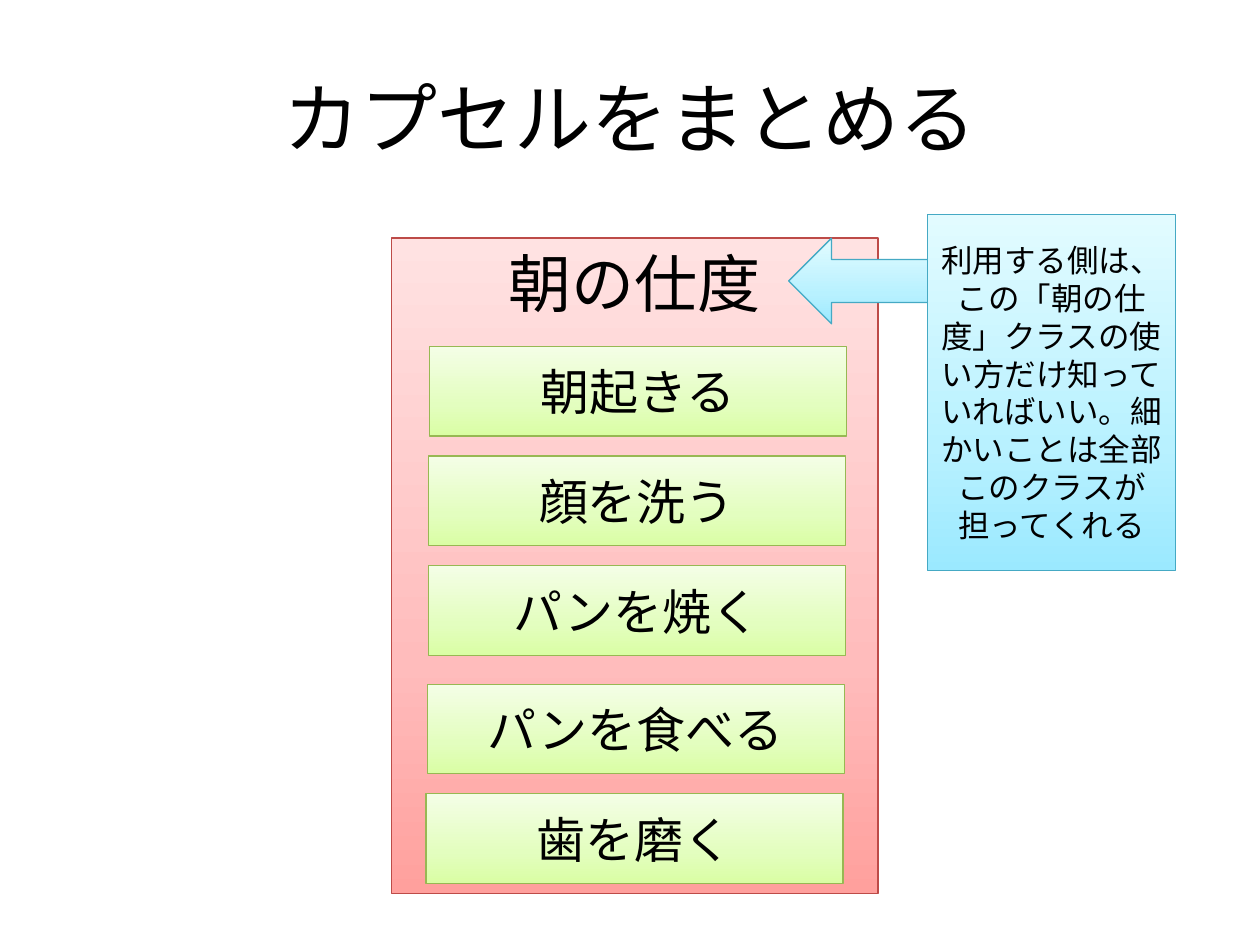
from copy import deepcopy
from dataclasses import dataclass

from pptx import Presentation
from pptx.dml.color import RGBColor
from pptx.enum.shapes import MSO_SHAPE as Shape
from pptx.enum.text import MSO_ANCHOR as Anchor, PP_ALIGN as Align
from pptx.util import Inches, Pt


@dataclass(frozen=True)
class Theme:
    font: str = "Calibri"
    text: str = "000000"
    # Each palette: bottom, middle and top of the gradient, then the outline
    red: tuple = ("FFA09D", "FFBCBC", "FFE2E2", "BD4B48")
    green: tuple = ("DAFEA4", "E3FEBF", "F4FEE6", "97B853")
    blue: tuple = ("9BE9FF", "B8F1FF", "E2FBFF", "45A9C4")
    stops: tuple = (0, 0.35, 1)
    outline: float = 0.75
    title_size: int = 44
    heading_size: int = 36
    step_size: int = 28
    note_size: int = 18


theme = Theme()


def write(shape, text, size, anchor=Anchor.MIDDLE):
    frame = shape.text_frame
    frame.word_wrap = True
    frame.vertical_anchor = anchor
    para = frame.paragraphs[0]
    para.alignment = Align.CENTER
    span = para.add_run()
    span.text = text
    span.font.name = theme.font
    span.font.size = Pt(size)
    span.font.color.rgb = RGBColor.from_string(theme.text)


def add_block(page, kind, box, palette):
    """Add a shape with an upward three-stop gradient."""
    shape = page.shapes.add_shape(kind, *map(Inches, box))
    shape.shadow.inherit = False
    *colors, outline = palette
    shape.fill.gradient()
    shape.fill.gradient_angle = 90
    # The default gradient has two stops; add the third
    stop_list = shape.fill._xPr.gradFill.gsLst
    stop_list.append(deepcopy(stop_list[-1]))
    for stop, position, color in zip(shape.fill.gradient_stops, theme.stops, colors):
        stop.position = position
        stop.color.rgb = RGBColor.from_string(color)
    shape.line.color.rgb = RGBColor.from_string(outline)
    shape.line.width = Pt(theme.outline)
    return shape


def add_title(page, box, text):
    title = page.shapes.title
    title.left, title.top, title.width, title.height = map(Inches, box)
    write(title, text, theme.title_size)


def add_class_panel(page, box, heading, steps):
    """Add the outer class and the steps it holds, as (text, dx, dy)."""
    left, top, width, height = box
    panel = add_block(page, Shape.RECTANGLE, box, theme.red)
    write(panel, heading, theme.heading_size, Anchor.TOP)
    for text, dx, dy in steps:
        step_box = (left + dx, top + dy, width - 0.55, 0.71)
        step = add_block(page, Shape.RECTANGLE, step_box, theme.green)
        write(step, text, theme.step_size)


def add_callout(page, box, text):
    """Add the note and the arrow that runs out from behind it."""
    left, top, width, height = box
    add_block(page, Shape.LEFT_ARROW, (left - 1.1, top + 0.19, 1.57, 0.68), theme.blue)
    note = add_block(page, Shape.RECTANGLE, box, theme.blue)
    write(note, text, theme.note_size)


deck = Presentation()
deck.slide_width, deck.slide_height = Inches(10), Inches(7.5)
page = deck.slides.add_slide(deck.slide_layouts[5])

add_title(page, (0.5, 0.3, 9, 1.25), "カプセルをまとめる")
add_class_panel(page, (3.11, 1.89, 3.86, 5.2), "朝の仕度", [
    ("朝起きる", 0.30, 0.86),
    ("顔を洗う", 0.29, 1.73),
    ("パンを焼く", 0.29, 2.60),
    ("パンを食べる", 0.28, 3.54),
    ("歯を磨く", 0.27, 4.41),
])
add_callout(
    page, (7.36, 1.7, 1.97, 2.83),
    "利用する側は、この「朝の仕度」クラスの使い方だけ知っていればいい。"
    "細かいことは全部このクラスが担ってくれる",
)

deck.save("out.pptx")
